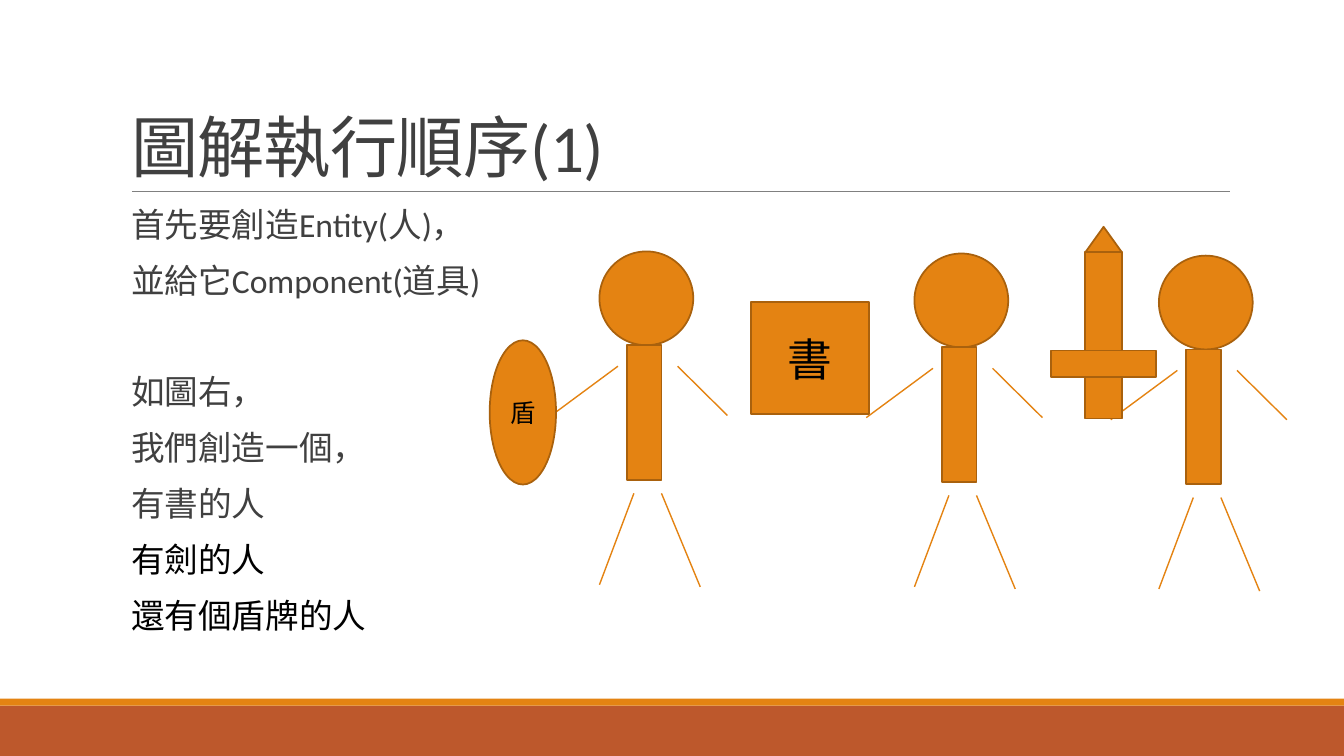
from dataclasses import dataclass

from lxml import etree
from pptx import Presentation
from pptx.dml.color import RGBColor
from pptx.enum.shapes import MSO_CONNECTOR, MSO_SHAPE
from pptx.enum.text import MSO_ANCHOR, MSO_AUTO_SIZE, PP_ALIGN
from pptx.oxml.ns import qn
from pptx.util import Pt

RECT, OVAL, TRI = MSO_SHAPE.RECTANGLE, MSO_SHAPE.OVAL, MSO_SHAPE.ISOSCELES_TRIANGLE
STRAIGHT = MSO_CONNECTOR.STRAIGHT
LEFT, CENTER = PP_ALIGN.LEFT, PP_ALIGN.CENTER
TOP, MIDDLE, BOTTOM = MSO_ANCHOR.TOP, MSO_ANCHOR.MIDDLE, MSO_ANCHOR.BOTTOM
FIXED = MSO_AUTO_SIZE.NONE


@dataclass(frozen=True)
class Theme:
    font: str = "Calibri"
    orange: str = "E48312"
    edge: str = "A9610D"
    rust: str = "BD582C"
    rule: str = "808080"
    text: str = "404040"
    black: str = "000000"
    title: int = 48
    body: int = 24
    book: int = 32
    shield: int = 18


THEME = Theme()
WIDE, HIGH = 960, 540
LINES = [
    ("首先要創造Entity(人)，", THEME.text, 12),
    ("並給它Component(道具)", THEME.text, 12),
    ("如圖右，", THEME.text, 51.5),
    ("我們創造一個，", THEME.text, 12),
    ("有書的人", THEME.text, 12),
    ("有劍的人", THEME.black, 12),
    ("還有個盾牌的人", THEME.black, 12),
]


def rgb(code):
    return RGBColor.from_string(code)


def assign(item, values):
    for name, value in values.items():
        setattr(item, name, value)


def style(font, size, color):
    assign(font, {"name": THEME.font, "size": Pt(size)})
    font.color.rgb = rgb(color)


def place(item, box):
    assign(item, dict(zip(("left", "top", "width", "height"), map(Pt, box))))


def form(shapes, kind, box, fill=THEME.orange, edge=THEME.edge):
    """Draw a filled preset shape; edge None leaves out the outline."""
    item = shapes.add_shape(kind, *map(Pt, box))
    item.shadow.inherit = False
    item.fill.solid()
    item.fill.fore_color.rgb = rgb(fill)
    if edge:
        item.line.color.rgb = rgb(edge)
        item.line.width = Pt(1.25)
    else:
        item.line.fill.background()
    return item


def stroke(shapes, ends, color=THEME.orange, width=1):
    line = shapes.add_connector(STRAIGHT, *map(Pt, ends))
    line.line.color.rgb = rgb(color)
    line.line.width = Pt(width)
    etree.SubElement(line._element.spPr, qn("a:effectLst"))


def label(item, text, size):
    frame = item.text_frame
    assign(frame, {"vertical_anchor": MIDDLE, "word_wrap": True,
                   "margin_left": 0, "margin_right": 0})
    para = frame.paragraphs[0]
    para.alignment = CENTER
    run = para.add_run()
    run.text = text
    style(run.font, size, THEME.black)


def footer(shapes, box):
    x, y, w, h = box
    form(shapes, RECT, (x, y + 5, w, h - 5), THEME.rust, None)
    form(shapes, RECT, (x, y, w, 5), THEME.orange, None)


def heading(slide, box):
    x, y, w, h = box
    stroke(slide.shapes, (x + 7.9, y + h, x + w, y + h), THEME.rule, 0.5)
    title = slide.shapes.title
    place(title, box)
    frame = title.text_frame
    assign(frame, {"vertical_anchor": BOTTOM, "auto_size": FIXED, "word_wrap": True})
    para = frame.paragraphs[0]
    assign(para, {"alignment": LEFT, "line_spacing": 0.85})
    run = para.add_run()
    run.text = "圖解執行順序(1)"
    style(run.font, THEME.title, THEME.text)
    run.font._element.set("spc", "-50")


def story(slide, box):
    body = slide.placeholders[1]
    place(body, box)
    frame = body.text_frame
    assign(frame, {"vertical_anchor": TOP, "auto_size": FIXED, "word_wrap": True,
                   "margin_left": 0, "margin_right": 0})
    for i, (text, color, gap) in enumerate(LINES):
        para = frame.add_paragraph() if i else frame.paragraphs[0]
        assign(para, {"alignment": LEFT, "line_spacing": 0.9,
                      "space_before": Pt(gap), "space_after": Pt(2)})
        props = para._p.get_or_add_pPr()
        props.set("marL", str(Pt(7.2)))
        props.set("indent", "0")
        etree.SubElement(props, qn("a:buNone"))
        run = para.add_run()
        run.text = text
        style(run.font, THEME.body, color)


def man(shapes, box):
    x, y, w, h = box
    form(shapes, OVAL, (x, y, w, w))
    form(shapes, RECT, (x + 19.6, y + w, 24.8, 96))
    arm, hand, hip = y + 82, y + 117.2, y + 172.8
    limbs = [
        (x + 13.2, arm, x - 34.4, hand),
        (x + 55.8, arm, x + 91.4, hand),
        (x + 24.6, hip, x, y + h - 1.5),
        (x + 44.3, hip, x + 72, y + h),
    ]
    for ends in limbs:
        stroke(shapes, ends)


def book(shapes, box):
    label(form(shapes, RECT, box), "書", THEME.book)


def shield(shapes, box):
    label(form(shapes, OVAL, box), "盾", THEME.shield)


def sword(shapes, box):
    x, y, w, h = box
    thick = 26.4
    mid = x + (w - thick) / 2
    form(shapes, TRI, (mid, y, thick, 18.4))
    form(shapes, RECT, (mid, y + 18, thick, 72))
    form(shapes, RECT, (x, y + 88.4, w, 18.8))
    form(shapes, RECT, (mid, y + 107.2, thick, h - 107.2))


def main():
    deck = Presentation()
    assign(deck, {"slide_width": Pt(WIDE), "slide_height": Pt(HIGH)})
    slide = deck.slides.add_slide(deck.slide_layouts[1])
    shapes = slide.shapes
    footer(shapes, (0, 499, WIDE, 41))
    heading(slide, (86.4, 22.6, 792, 114.2))
    story(slide, (86.4, 145.4, 792, 316.8))
    man(shapes, (653.2, 181.1, 67, 239.6))
    book(shapes, (536.4, 215.8, 84.2, 80))
    man(shapes, (827.8, 182.6, 67, 239.6))
    sword(shapes, (750.8, 162, 75, 137))
    man(shapes, (428.2, 179.6, 67, 239.6))
    shield(shapes, (349.8, 243.1, 47.4, 103))
    deck.save("out.pptx")


if __name__ == "__main__":
    main()
